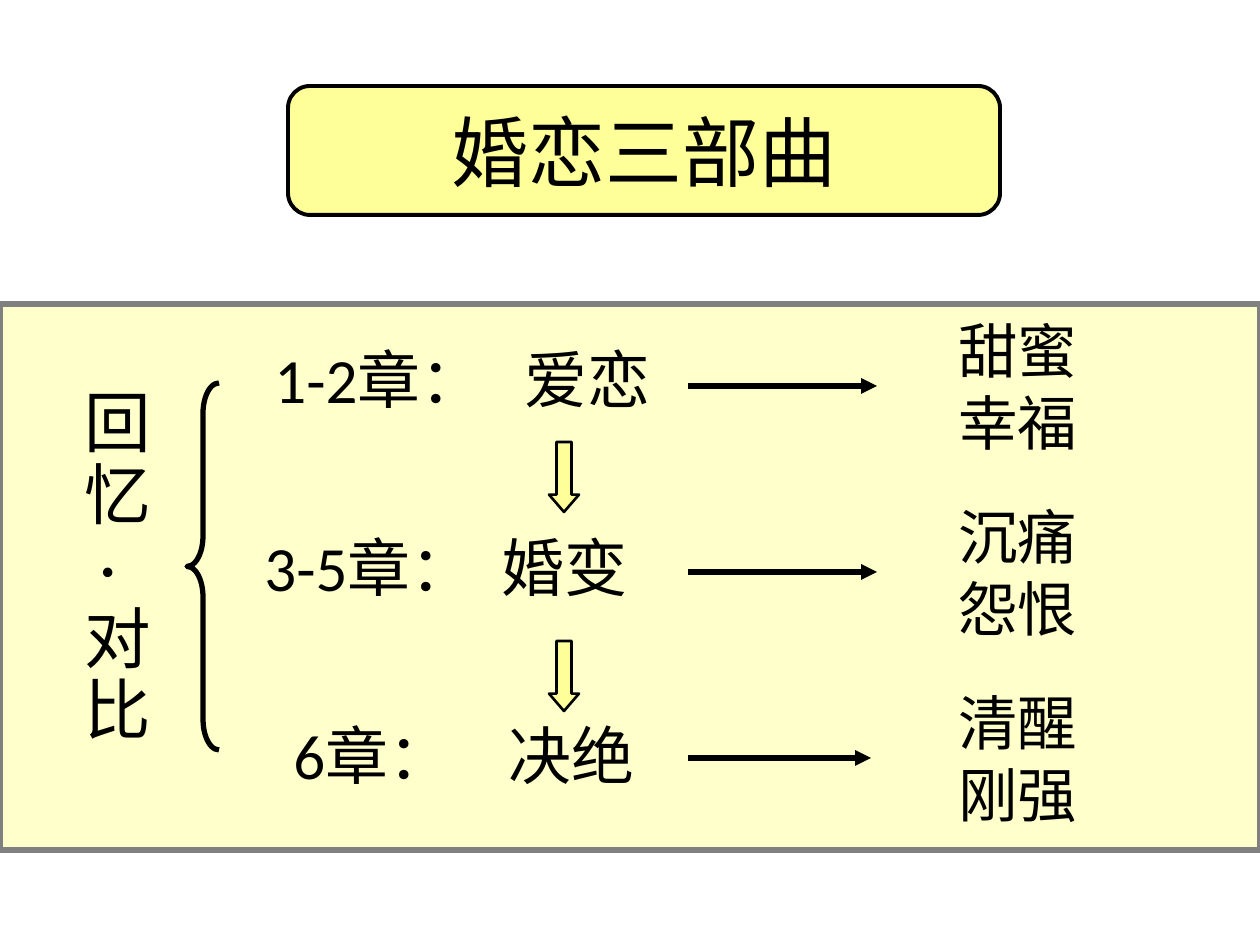
from lxml.etree import SubElement
from pptx import Presentation
from pptx.dml.color import RGBColor
from pptx.enum.shapes import MSO_CONNECTOR, MSO_SHAPE
from pptx.enum.text import MSO_ANCHOR, PP_ALIGN
from pptx.oxml.ns import qn
from pptx.util import Emu, Pt

BLACK, GRAY, YELLOW, CREAM = "000000", "808080", "FFFF99", "FFFFCC"


def px(n):
    return Emu(round(n * 914400 / 126))


def color(value):
    return RGBColor.from_string(value)


class Deck:
    """Holds the style and the current slide, and draws each kind of element."""

    font = "Calibri"

    def __init__(self, prs):
        self.s = prs.slides.add_slide(prs.slide_layouts[6])

    def shape(self, kind, box, fill, line, width, adj=()):
        sp = self.s.shapes.add_shape(kind, *map(px, box))
        sp.shadow.inherit = False
        if fill:
            sp.fill.solid()
            sp.fill.fore_color.rgb = color(fill)
        else:
            sp.fill.background()
        sp.line.color.rgb = color(line)
        sp.line.width = Pt(width)
        for i, value in enumerate(adj):
            sp.adjustments[i] = value
        return sp

    def add_lines(self, tf, lines, size, align=PP_ALIGN.LEFT, spacing=None, tab=None):
        for i, line in enumerate(lines):
            p = tf.add_paragraph() if i else tf.paragraphs[0]
            if tab:
                tabs = SubElement(p._p.get_or_add_pPr(), qn("a:tabLst"))
                SubElement(tabs, qn("a:tab"), pos=str(px(tab)), algn="l")
            p.alignment = align
            if spacing:
                p.line_spacing = spacing
            r = p.add_run()
            r.text = line
            r.font.name = self.font
            r.font.size = Pt(size)
            r.font.color.rgb = color(BLACK)

    def text(self, box, lines, size, **style):
        tf = self.s.shapes.add_textbox(*map(px, box)).text_frame
        tf.word_wrap = True
        self.add_lines(tf, lines, size, **style)

    def arrow(self, x1, x2, y):
        c = self.s.shapes.add_connector(
            MSO_CONNECTOR.STRAIGHT, px(x1), px(y), px(x2), px(y))
        c.line.color.rgb = color(BLACK)
        c.line.width = Pt(3)
        SubElement(c.line._get_or_add_ln(), qn("a:tailEnd"), type="triangle")
        SubElement(c._element.spPr, qn("a:effectLst"))


def main():
    prs = Presentation()
    prs.slide_width, prs.slide_height = px(1260), px(945)
    deck = Deck(prs)

    title = deck.shape(MSO_SHAPE.ROUNDED_RECTANGLE, (288, 86, 712, 129),
                       YELLOW, BLACK, 2.25, [0.17])
    tf = title.text_frame
    tf.word_wrap = False
    tf.vertical_anchor = MSO_ANCHOR.MIDDLE
    deck.add_lines(tf, ["婚恋三部曲"], 44, align=PP_ALIGN.CENTER)

    deck.shape(MSO_SHAPE.RECTANGLE, (0, 304, 1260, 546), CREAM, GRAY, 3)

    chapters = [
        ("1-2章：\t爱恋", 262, 250, 877, ["甜蜜", "幸福"]),
        ("3-5章：\t婚变", 252, 237, 877, ["沉痛", "怨恨"]),
        ("6章：\t决绝", 281, 215, 871, ["清醒", "刚强"]),
    ]
    for i, (chapter, left, tab, tip, moods) in enumerate(chapters):
        deck.text((left, 334 + 188 * i, 560, 88), [chapter], 36, tab=tab)
        deck.arrow(688, tip, 386 + 186 * i)
        deck.text((946, 308 + 186 * i, 230, 155), moods, 34)

    for y in (442, 641):
        deck.shape(MSO_SHAPE.DOWN_ARROW, (549, y, 30, 70),
                   YELLOW, BLACK, 1.5, [0.5, 0.58])

    deck.shape(MSO_SHAPE.LEFT_BRACE, (187, 383, 32, 367),
               None, BLACK, 3, [0.95, 0.5])
    deck.text((72, 384, 93, 373), ["回", "忆", " ·", "对", "比"], 38, spacing=0.9)

    prs.save("out.pptx")


if __name__ == "__main__":
    main()
